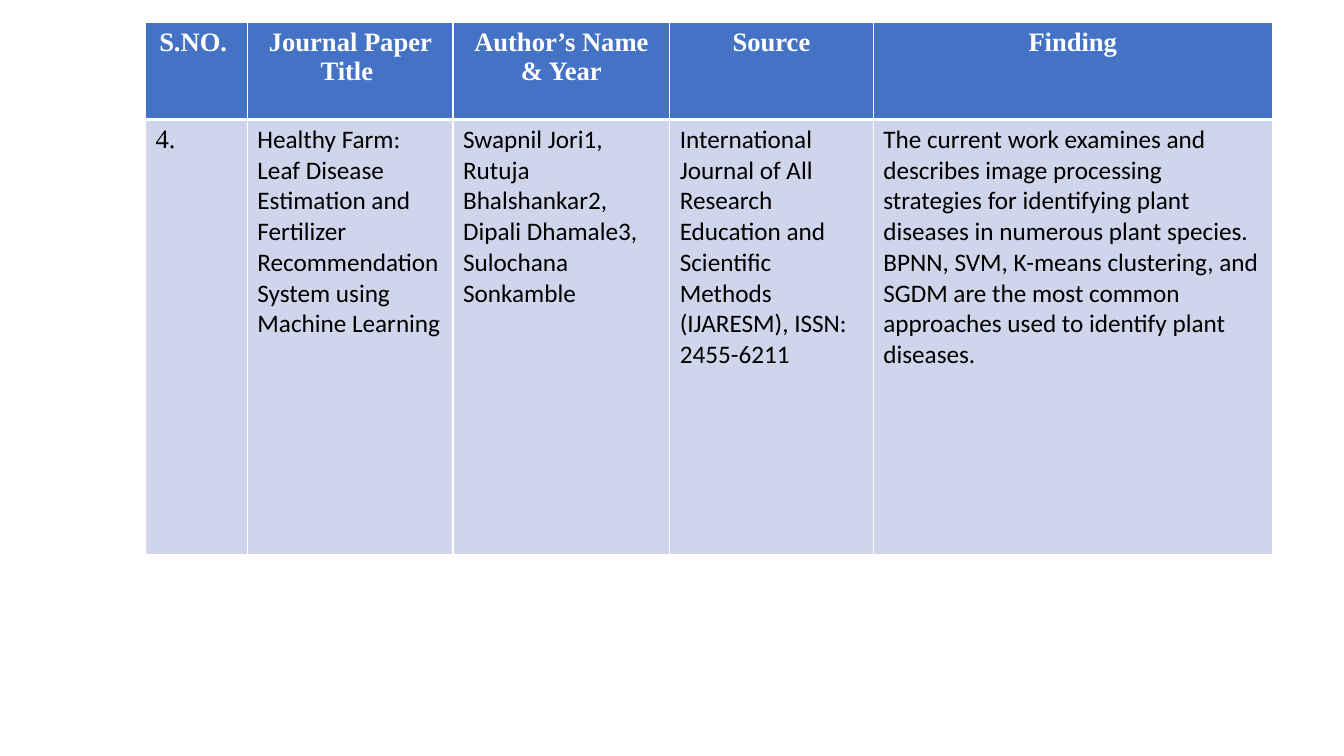
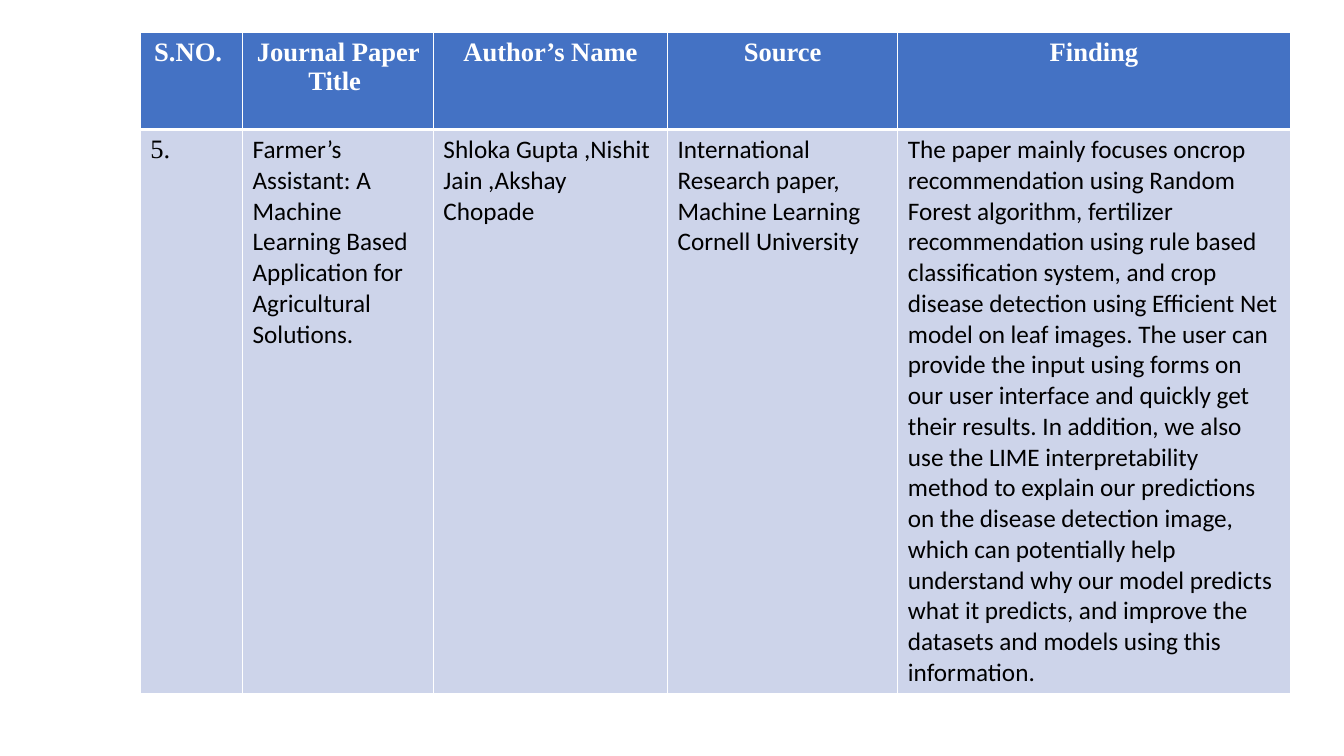
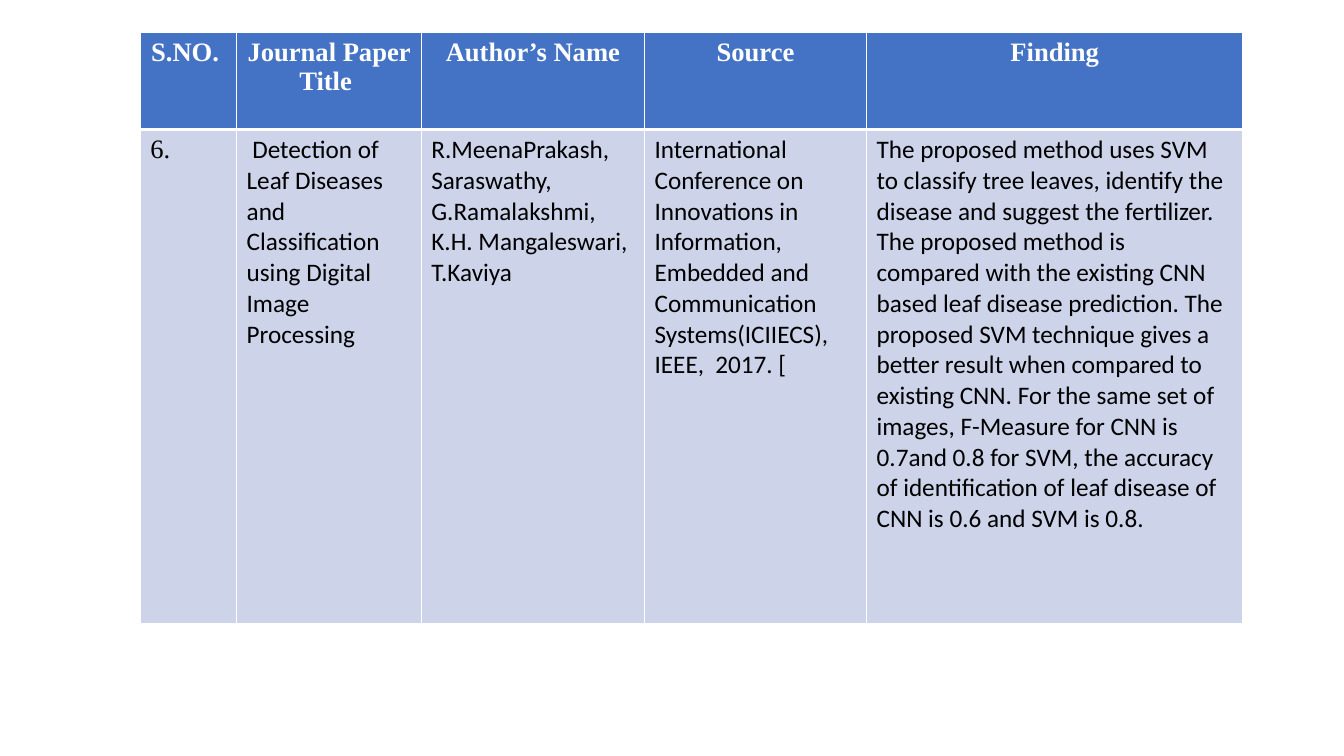
from lxml import etree
from pptx import Presentation
from pptx.dml.color import RGBColor
from pptx.enum.text import PP_ALIGN
from pptx.oxml.ns import qn
from pptx.util import Pt

CENTER, JUSTIFY, LEFT = PP_ALIGN.CENTER, PP_ALIGN.JUSTIFY, PP_ALIGN.LEFT
WHITE = RGBColor(0xFF, 0xFF, 0xFF)
BLACK = RGBColor(0, 0, 0)
BLUE = RGBColor(0x44, 0x72, 0xC4)
PALE_BLUE = RGBColor(0xCF, 0xD5, 0xEA)
PALE_LILAC = RGBColor(0xCD, 0xD4, 0xEA)
SERIF, SANS = "Times New Roman", "Calibri"
HEADER_HEIGHT = 69.3
THIN, THICK = 1, 3

PAPERS = [
    {
        "origin": (104, 16),
        "widths": (72.7, 146.9, 154.8, 145.4, 285.1),
        "body_height": 311,
        "fill": PALE_BLUE,
        "author_heading": "Author’s Name & Year",
        "entry": (
            "4.",
            "Healthy Farm: Leaf Disease Estimation and Fertilizer "
            "Recommendation System using Machine Learning",
            "Swapnil Jori1, Rutuja Bhalshankar2, Dipali Dhamale3, "
            "Sulochana Sonkamble",
            "International Journal of All Research Education and Scientific "
            "Methods (IJARESM), ISSN: 2455-6211 ",
            "The current work examines and describes image processing "
            "strategies for identifying plant diseases in numerous plant "
            "species. BPNN, SVM, K-means clustering, and SGDM are the most "
            "common approaches used to identify plant diseases.",
        ),
    },
    {
        "origin": (100.2, 23.2),
        "widths": (73.1, 136.3, 167.3, 164.5, 280.2),
        "body_height": 403,
        "fill": PALE_LILAC,
        "author_heading": "Author’s Name",
        "entry": (
            "5.",
            "Farmer’s Assistant: A Machine Learning Based Application for "
            "Agricultural Solutions. ",
            "Shloka Gupta ,Nishit Jain ,Akshay Chopade",
            "International Research paper, Machine Learning Cornell University",
            "The paper mainly focuses oncrop recommendation using Random "
            "Forest algorithm, fertilizer recommendation using rule based "
            "classification system, and crop disease detection using "
            "Efficient Net model on leaf images. The user can provide the "
            "input using forms on our user interface and quickly get their "
            "results. In addition, we also use the LIME interpretability "
            "method to explain our predictions on the disease detection "
            "image, which can potentially help understand why our model "
            "predicts what it predicts, and improve the datasets and models "
            "using this information.",
        ),
    },
    {
        "origin": (100.2, 23.2),
        "widths": (68.8, 131.9, 159.5, 158.6, 268.8),
        "body_height": 353,
        "fill": PALE_LILAC,
        "author_heading": "Author’s Name",
        "entry": (
            "6.",
            " Detection of Leaf Diseases and Classification using Digital "
            "Image Processing ",
            "R.MeenaPrakash,\nSaraswathy,\nG.Ramalakshmi,\n"
            "K.H. Mangaleswari, \nT.Kaviya",
            "International Conference on Innovations in Information, Embedded "
            "and Communication Systems(ICIIECS), IEEE,  2017. [",
            "The proposed method uses SVM to classify tree leaves, identify "
            "the disease and suggest the fertilizer. The proposed method is "
            "compared with the existing CNN based leaf disease prediction. "
            "The proposed SVM technique gives a better result when compared "
            "to existing CNN. For the same set of images, F-Measure for CNN "
            "is 0.7and 0.8 for SVM, the accuracy of identification of leaf "
            "disease of CNN is 0.6 and SVM is 0.8.",
        ),
    },
]


def add_borders(cell, top, bottom):
    tcPr = cell._tc.get_or_add_tcPr()
    for side, width in (("L", THIN), ("R", THIN), ("T", top), ("B", bottom)):
        ln = etree.SubElement(tcPr, qn(f"a:ln{side}"), w=str(Pt(width)))
        fill = etree.SubElement(ln, qn("a:solidFill"))
        etree.SubElement(fill, qn("a:srgbClr"), val=str(WHITE))


def fill_cell(cell, text, fill, font, size, color, bold, align):
    cell.fill.solid()
    cell.fill.fore_color.rgb = fill
    cell.text = text
    for p in cell.text_frame.paragraphs:
        p.alignment = align
        for r in p.runs:
            r.font.name = font
            r.font.size = Pt(size)
            r.font.bold = bold
            r.font.color.rgb = color


def add_paper(prs, paper):
    s = prs.slides.add_slide(prs.slide_layouts[6])
    left, top = paper["origin"]
    widths = paper["widths"]
    heights = (HEADER_HEIGHT, paper["body_height"])
    table = s.shapes.add_table(2, len(widths), Pt(left), Pt(top),
                               Pt(sum(widths)), Pt(sum(heights))).table
    for row, height in zip(table.rows, heights):
        row.height = Pt(height)
    headings = ("S.NO. ", "Journal Paper Title ", paper["author_heading"],
                "Source", "Finding")
    for i, (width, heading, text) in enumerate(
            zip(widths, headings, paper["entry"])):
        table.columns[i].width = Pt(width)
        header, body = table.cell(0, i), table.cell(1, i)
        add_borders(header, THIN, THICK)
        add_borders(body, THICK, THIN)
        fill_cell(header, heading, BLUE, SERIF, 19, WHITE, True, CENTER)
        font, size, align = (SANS, 18, LEFT) if i else (SERIF, 19, JUSTIFY)
        fill_cell(body, text, paper["fill"], font, size, BLACK, False, align)


prs = Presentation()
prs.slide_width, prs.slide_height = Pt(960), Pt(540)
for paper in PAPERS:
    add_paper(prs, paper)
prs.save("out.pptx")
